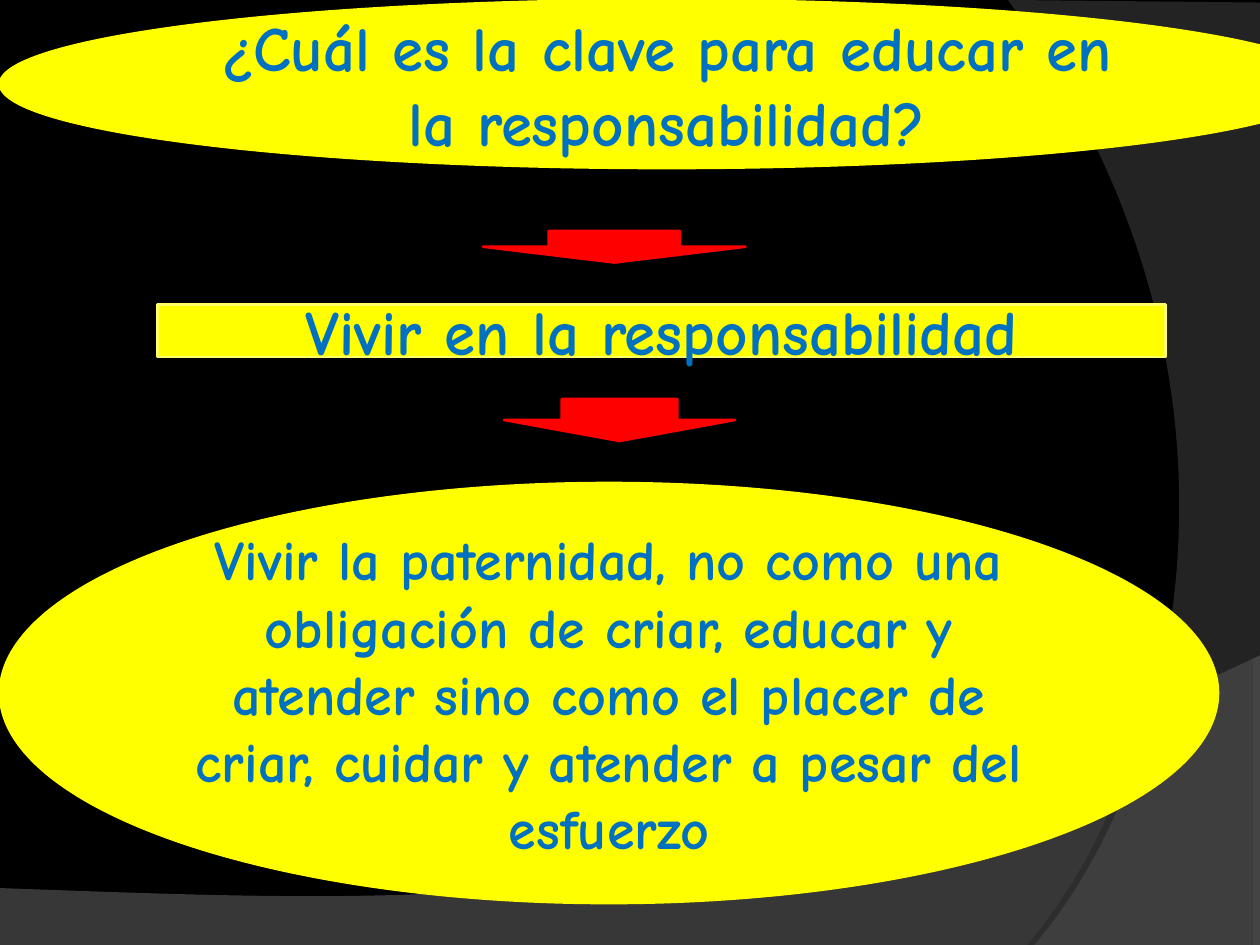
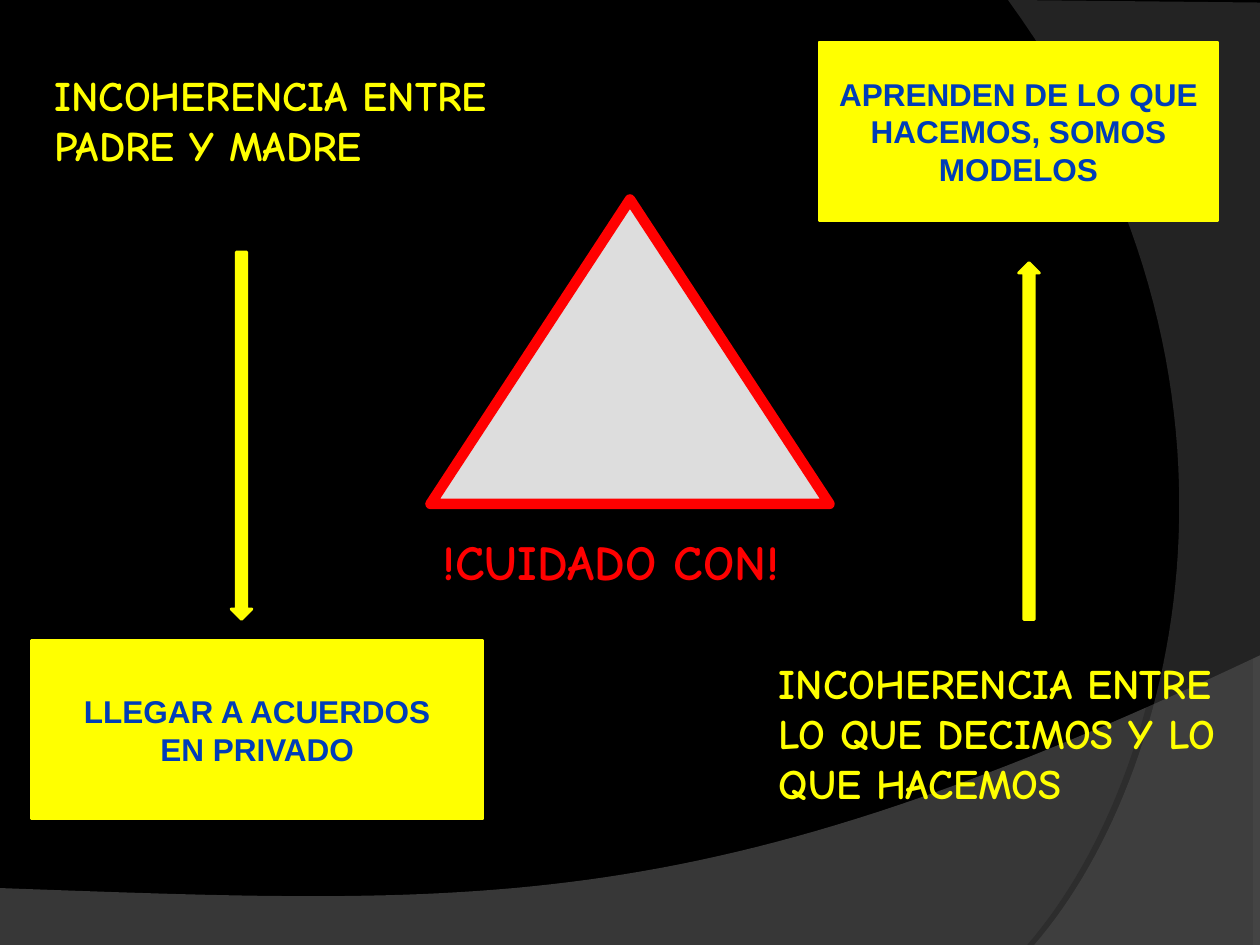
from lxml import etree
from pptx import Presentation
from pptx import util as u
from pptx.dml.color import RGBColor
from pptx.enum import shapes, text
from pptx.oxml import ns

BLACK = RGBColor(0x00, 0x00, 0x00)
YELLOW = RGBColor(0xFF, 0xFF, 0x00)
PALE_YELLOW = RGBColor(0xFF, 0xFF, 0x66)
RED = RGBColor(0xFF, 0x00, 0x00)
SKY_BLUE = RGBColor(0x00, 0x70, 0xC0)
DEEP_BLUE = RGBColor(0x00, 0x3D, 0xB8)
LIGHT_GREY = RGBColor(0xDD, 0xDD, 0xDD)
FLOOR_GREY = RGBColor(0x7C, 0x7C, 0x7C)
SIDE_GREY = RGBColor(0x59, 0x59, 0x59)

HAND = "Comic Neue"
PLAIN = "Arial"
WIDTH, HEIGHT = 720, 540
CURVE_STEPS = 60
SHAPE = shapes.MSO_SHAPE


def write(frame, lines, size, color, font=HAND, align=text.PP_ALIGN.LEFT,
          anchor=text.MSO_ANCHOR.TOP):
    """Fill a text frame with bold lines, one paragraph each."""
    frame.word_wrap = True
    frame.vertical_anchor = anchor
    for number, line in enumerate(lines):
        paragraph = frame.paragraphs[0] if number == 0 else frame.add_paragraph()
        paragraph.alignment = align
        run = paragraph.add_run()
        run.text = line
        run.font.size = u.Pt(size)
        run.font.name = font
        run.font.bold = True
        run.font.color.rgb = color


def curve(start, control_1, control_2, end):
    """Points along a cubic curve, without its start."""
    points = []
    for step in range(1, CURVE_STEPS + 1):
        t = step / CURVE_STEPS
        weights = ((1 - t) ** 3, 3 * t * (1 - t) ** 2, 3 * t * t * (1 - t), t ** 3)
        points.append(tuple(
            sum(w * v for w, v in zip(weights, values))
            for values in zip(start, control_1, control_2, end)))
    return points


class Deck:
    def __init__(self):
        self.file = Presentation()
        self.file.slide_width = u.Pt(WIDTH)
        self.file.slide_height = u.Pt(HEIGHT)
        self.slide = None

    def new_slide(self):
        self.slide = self.file.slides.add_slide(self.file.slide_layouts[6])
        self.slide.background.fill.solid()
        self.slide.background.fill.fore_color.rgb = BLACK
        # Curved floor and side bands
        floor_right = (WIDTH, 374.5)
        self.band([(0, 507.5), (0, 540.5), (WIDTH, 540.5), floor_right]
                  + curve(floor_right, (402.5, 525), (281.5, 517.5), (0, 507.5)),
                  FLOOR_GREY, 45, shadow=(35, 3.5, 270))
        side_foot = (591, HEIGHT)
        self.band([(WIDTH, 1.5), (WIDTH, HEIGHT), side_foot]
                  + curve(side_foot, (673, 445.5), (733, 216), (576, 0)),
                  SIDE_GREY, 40, shadow=(45, 4, 180))

    def band(self, points, color, opacity, shadow):
        points = [(u.Pt(x), u.Pt(y)) for x, y in points]
        builder = self.slide.shapes.build_freeform(*points[0])
        builder.add_line_segments(points[1:], close=True)
        band = builder.convert_to_shape()
        band.fill.solid()
        band.fill.fore_color.rgb = color
        band.line.fill.background()
        band.shadow.inherit = False
        properties = band.fill._xPr
        self.set_alpha(properties.find(".//" + ns.qn("a:srgbClr")), opacity)
        # Hard-edged shadow
        shadow_opacity, distance, angle = shadow
        outer = etree.SubElement(
            properties.find(ns.qn("a:effectLst")), ns.qn("a:outerShdw"),
            dist=str(u.Pt(distance)), dir=str(angle * 60000), algn="ctr",
            rotWithShape="0")
        tint = etree.SubElement(outer, ns.qn("a:srgbClr"), val=str(BLACK))
        self.set_alpha(tint, shadow_opacity)

    def set_alpha(self, color, percent):
        etree.SubElement(color, ns.qn("a:alpha"), val=str(percent * 1000))

    def figure(self, kind, box, fill=YELLOW, line=None, line_width=1.5):
        figure = self.slide.shapes.add_shape(kind, *map(u.Pt, box))
        figure.shadow.inherit = False
        figure.fill.solid()
        figure.fill.fore_color.rgb = fill
        figure.line.color.rgb = line or fill
        figure.line.width = u.Pt(line_width)
        return figure

    def message(self, kind, box, lines, size, color=SKY_BLUE, font=HAND, line=None):
        write(self.figure(kind, box, line=line).text_frame, lines, size, color, font,
              align=text.PP_ALIGN.CENTER, anchor=text.MSO_ANCHOR.MIDDLE)

    def label(self, box, lines, size=24, color=YELLOW):
        label = self.slide.shapes.add_textbox(*map(u.Pt, box))
        write(label.text_frame, lines, size, color)


def key_slide(deck):
    deck.new_slide()
    # Question, short answer and explanation
    deck.message(SHAPE.OVAL, (0, 0, 762, 96),
                 ["¿Cuál es la clave para educar en la responsabilidad?"], 36)
    deck.message(SHAPE.RECTANGLE, (90, 174, 576, 30),
                 ["Vivir en la responsabilidad"], 36, line=PALE_YELLOW)
    deck.figure(SHAPE.DOWN_ARROW, (276, 132, 150, 18), RED)
    deck.message(SHAPE.OVAL, (0, 276, 696, 240),
                 ["Vivir la paternidad, no como una obligación de criar, educar y "
                  "atender sino como el placer de criar, cuidar y atender a pesar "
                  "del esfuerzo"], 32)
    deck.figure(SHAPE.DOWN_ARROW, (288, 228, 132, 24), RED)


def warning_slide(deck):
    deck.new_slide()
    # Warning sign
    deck.figure(SHAPE.ISOSCELES_TRIANGLE, (246, 114, 228, 174), LIGHT_GREY,
                line=RED, line_width=6)
    deck.label((246, 300, 294, 41), ["!CUIDADO CON!"], 28, RED)
    # Problems
    deck.label((24, 36, 306, 65), ["INCOHERENCIA ENTRE PADRE Y MADRE"])
    deck.label((438, 372, 294, 94),
               ["INCOHERENCIA ENTRE", "LO QUE DECIMOS Y LO QUE HACEMOS"])
    # Arrows from each problem to its answer
    deck.figure(SHAPE.DOWN_ARROW, (132, 144, 12, 210))
    deck.figure(SHAPE.UP_ARROW, (582, 150, 12, 204))
    # Answers
    answers = [
        ((468, 24, 228, 102), ["APRENDEN DE LO QUE", "HACEMOS, SOMOS", "MODELOS"]),
        ((18, 366, 258, 102), ["LLEGAR A ACUERDOS", "EN PRIVADO"]),
    ]
    for box, lines in answers:
        deck.message(SHAPE.RECTANGLE, box, lines, 18, DEEP_BLUE, PLAIN)


def main():
    deck = Deck()
    key_slide(deck)
    warning_slide(deck)
    deck.file.save("out.pptx")


if __name__ == "__main__":
    main()
